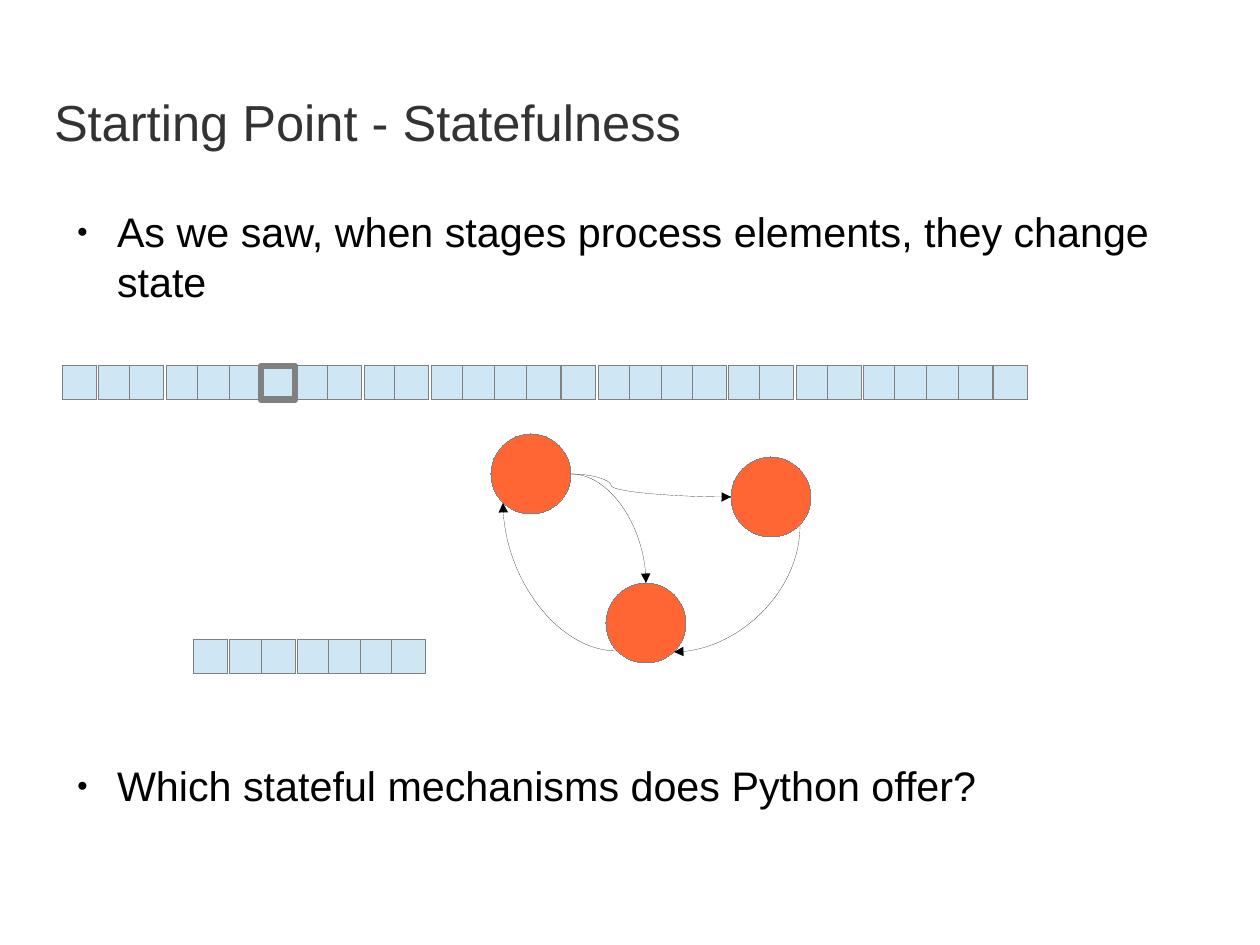
from lxml import etree
from pptx import Presentation
from pptx.dml.color import RGBColor
from pptx.enum.shapes import MSO_CONNECTOR, MSO_SHAPE
from pptx.enum.text import MSO_ANCHOR, MSO_AUTO_SIZE, PP_ALIGN
from pptx.oxml.ns import qn
from pptx.util import Pt

PX = 8000  # the slide is 1260 by 945 px, or 28 by 21 cm
RECT, OVAL = MSO_SHAPE.RECTANGLE, MSO_SHAPE.OVAL
CURVE = MSO_CONNECTOR.CURVE
LEFT = PP_ALIGN.LEFT
TOP, MIDDLE = MSO_ANCHOR.TOP, MSO_ANCHOR.MIDDLE
NO_FIT = MSO_AUTO_SIZE.NONE

FONT = "Arial"
BLACK, GREY, BLUE, ORANGE = "000000", "808080", "CFE7F5", "FF6633"
CELL, STATE = 34, 80
INPUT_TOP, OUTPUT_TOP = 366, 640

# Left edges of the cells in the two streams
INPUT_LEFTS = [63, 99, 130, 167, 198, 230, 261, 297, 328, 365, 395, 432, 463, 495, 527,
               562, 599, 630, 662, 693, 729, 760, 797, 828, 864, 895, 927, 959, 994]
OUTPUT_LEFTS = [194, 230, 262, 298, 329, 361, 392]
CURRENT = 6

# Connection sites of an ellipse
SITE_TOP, SITE_LEFT, SITE_LOWER_LEFT, SITE_LOWER_RIGHT, SITE_RIGHT = 0, 2, 3, 5, 6


def rgb(color):
    return RGBColor.from_string(color)


def add_child(parent, tag, **attrs):
    child = etree.SubElement(parent, qn(tag))
    for name, value in attrs.items():
        child.set(name, str(value))
    return child


def set_line(shape, color, weight):
    # Without the theme style, a zero weight stays a hairline
    shape._element.remove(shape._element.find(qn("p:style")))
    shape.line.color.rgb = rgb(color)
    shape.line.width = Pt(weight)


def place_text(sp, x, y, w, h, anchor):
    sp.left, sp.top, sp.width, sp.height = x * PX, y * PX, w * PX, h * PX
    tf = sp.text_frame
    tf.margin_left = tf.margin_top = tf.margin_right = tf.margin_bottom = 0
    tf.vertical_anchor = anchor
    tf.word_wrap = True
    tf.auto_size = NO_FIT
    return tf


def add_run(p, text, size, color):
    p.alignment = LEFT
    r = p.add_run()
    r.text = text
    r.font.name, r.font.size = FONT, Pt(size)
    r.font.color.rgb = rgb(color)


def add_bullet(p, text, before):
    p.line_spacing = Pt(31.5)
    p.space_before, p.space_after = Pt(before), Pt(14.2)
    add_run(p, text, 26, BLACK)
    pPr = p._p.get_or_add_pPr()
    pPr.set("marL", str(54 * PX))
    pPr.set("indent", str(-40 * PX))
    add_child(add_child(pPr, "a:buClr"), "a:srgbClr", val=BLACK)
    add_child(pPr, "a:buSzPct", val=45000)
    add_child(pPr, "a:buFont", typeface=FONT)
    add_child(pPr, "a:buChar", char="●")


def add_box(s, kind, x, y, size, fill=None, weight=0):
    sp = s.shapes.add_shape(kind, x * PX, y * PX, size * PX, size * PX)
    sp.shadow.inherit = False
    if fill:
        sp.fill.solid()
        sp.fill.fore_color.rgb = rgb(fill)
    else:
        sp.fill.background()
    set_line(sp, GREY, weight)
    return sp


def add_transition(s, start, end, points, preset="curvedConnector2", turn=0, bend=None):
    cx = s.shapes.add_connector(CURVE, *(v * PX for v in points))
    set_line(cx, BLACK, 0)
    add_child(cx.line._get_or_add_ln(), "a:tailEnd", type="triangle")
    spPr = cx._element.spPr
    add_child(spPr, "a:effectLst")
    spPr.find(qn("a:xfrm")).set("rot", str(turn * 60000))
    geom = spPr.find(qn("a:prstGeom"))
    geom.set("prst", preset)
    if bend:
        add_child(geom.find(qn("a:avLst")), "a:gd", name="adj1", fmla=f"val {bend}")
    # Join the ends to the states
    joints = cx._element.find(qn("p:nvCxnSpPr")).find(qn("p:cNvCxnSpPr"))
    for tag, (state, site) in (("a:stCxn", start), ("a:endCxn", end)):
        add_child(joints, tag, id=state.shape_id, idx=site)


def main():
    prs = Presentation()
    prs.slide_width, prs.slide_height = 1260 * PX, 945 * PX
    s = prs.slides.add_slide(prs.slide_layouts[1])

    # Title and bullets
    tf = place_text(s.shapes.title, 54, 81, 882, 81, MIDDLE)
    add_run(tf.paragraphs[0], "Starting Point - Statefulness", 31.9, "333333")
    tf = place_text(s.placeholders[1], 63, 206, 1109, 651, TOP)
    add_bullet(tf.paragraphs[0],
               "As we saw, when stages process elements, they change state", 0)
    add_bullet(tf.add_paragraph(), "Which stateful mechanisms does Python offer?", 271.5)

    # Input and output streams, with the current element framed
    for y, lefts in ((INPUT_TOP, INPUT_LEFTS), (OUTPUT_TOP, OUTPUT_LEFTS)):
        for x in lefts:
            add_box(s, RECT, x, y, CELL, BLUE)
    add_box(s, RECT, INPUT_LEFTS[CURRENT], INPUT_TOP, CELL, weight=4.31)

    # State machine
    first, second, third = [add_box(s, OVAL, x, y, STATE, ORANGE)
                            for x, y in ((491, 434), (731, 457), (606, 583))]
    add_transition(s, (first, SITE_RIGHT), (second, SITE_LEFT), (571, 474, 731, 497),
                   "curvedConnector3", bend=25100)
    add_transition(s, (first, SITE_RIGHT), (third, SITE_TOP), (571, 474, 646, 583))
    add_transition(s, (third, SITE_LOWER_LEFT), (first, SITE_LOWER_LEFT),
                   (617, 651, 503, 503))
    add_transition(s, (second, SITE_LOWER_RIGHT), (third, SITE_LOWER_RIGHT),
                   (674, 526, 800, 652), turn=90)

    prs.save("out.pptx")


if __name__ == "__main__":
    main()
